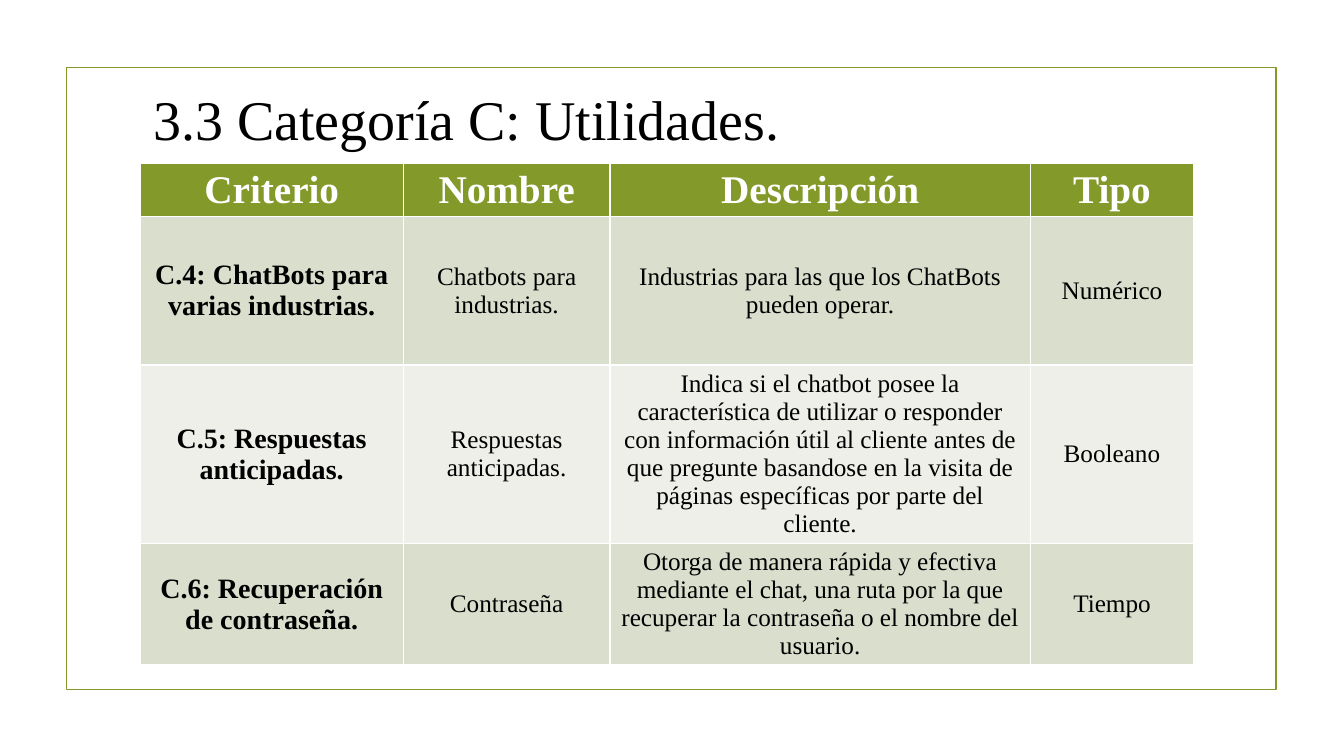
"""Build the slide with the table of utility criteria."""
import pptx
import pptx.util
import pptx.dml.color
import pptx.enum.shapes
import pptx.enum.text

Inches, Pt = pptx.util.Inches, pptx.util.Pt
FONT = "Times New Roman"
GREEN, WHITE, BLACK = "83992A", "FFFFFF", "000000"
BANDS = ["D9DECD", "EDEFE8"]
TITLE = "3.3 Categoría C: Utilidades."
ROWS = [
    ("Criterio", "Nombre", "Descripción", "Tipo"),
    ("C.4: ChatBots para varias industrias.", "Chatbots para\nindustrias.",
     "Industrias para las que los ChatBots pueden operar.", "Numérico"),
    ("C.5: Respuestas anticipadas.", "Respuestas anticipadas.",
     "Indica si el chatbot posee la característica de utilizar o responder con "
     "información útil al cliente antes de que pregunte basandose en la visita de "
     "páginas específicas por parte del cliente.", "Booleano"),
    ("C.6: Recuperación de contraseña.", "Contraseña",
     "Otorga de manera rápida y efectiva mediante el chat, una ruta por la que "
     "recuperar la contraseña o el nombre del usuario.", "Tiempo"),
]
WIDTHS = [2.61, 2.05, 4.17, 1.62]
HEIGHTS = [0.52, 1.47, 1.77, 1.18]


def rgb(value):
    return pptx.dml.color.RGBColor.from_string(value)


def style(p, size, color, bold=False):
    for r in p.runs:
        r.font.name = FONT
        r.font.size = Pt(size)
        r.font.bold = bold
        r.font.color.rgb = rgb(color)


def add_frame(s):
    sp = s.shapes.add_shape(pptx.enum.shapes.MSO_SHAPE.RECTANGLE,
                            Inches(0.66), Inches(0.67), Inches(12), Inches(6.17))
    sp.shadow.inherit = False
    sp.fill.background()
    sp.line.color.rgb = rgb(GREEN)
    sp.line.width = Pt(1.25)


def add_title(s):
    sp = s.shapes.title
    sp.left, sp.top, sp.width, sp.height = map(Inches, (1.42, 0.79, 6.44, 0.77))
    tf = sp.text_frame
    tf.text = TITLE
    tf.word_wrap = True
    tf.auto_size = pptx.enum.text.MSO_AUTO_SIZE.NONE
    tf.vertical_anchor = pptx.enum.text.MSO_ANCHOR.TOP
    p = tf.paragraphs[0]
    p.alignment = pptx.enum.text.PP_ALIGN.LEFT
    style(p, 40, BLACK)


def add_criteria(s):
    table = s.shapes.add_table(len(ROWS), len(WIDTHS), Inches(1.39), Inches(1.62),
                               Inches(sum(WIDTHS)), Inches(sum(HEIGHTS))).table
    for column, width in zip(table.columns, WIDTHS):
        column.width = Inches(width)
    for i, (row, height) in enumerate(zip(ROWS, HEIGHTS)):
        table.rows[i].height = Inches(height)
        for j, text in enumerate(row):
            cell = table.cell(i, j)
            cell.text_frame.text = text
            cell.vertical_anchor = pptx.enum.text.MSO_ANCHOR.MIDDLE
            cell.fill.solid()
            cell.fill.fore_color.rgb = rgb(BANDS[(i - 1) % 2] if i else GREEN)
            size = 28 if i == 0 else 20 if j == 0 else 18
            for p in cell.text_frame.paragraphs:
                p.alignment = pptx.enum.text.PP_ALIGN.CENTER
                style(p, size, BLACK if i else WHITE, i == 0 or j == 0)


def main():
    prs = pptx.Presentation()
    prs.slide_width, prs.slide_height = Inches(13.33), Inches(7.5)
    s = prs.slides.add_slide(prs.slide_layouts[5])
    add_frame(s)
    add_criteria(s)
    add_title(s)
    prs.save("out.pptx")


if __name__ == "__main__":
    main()
